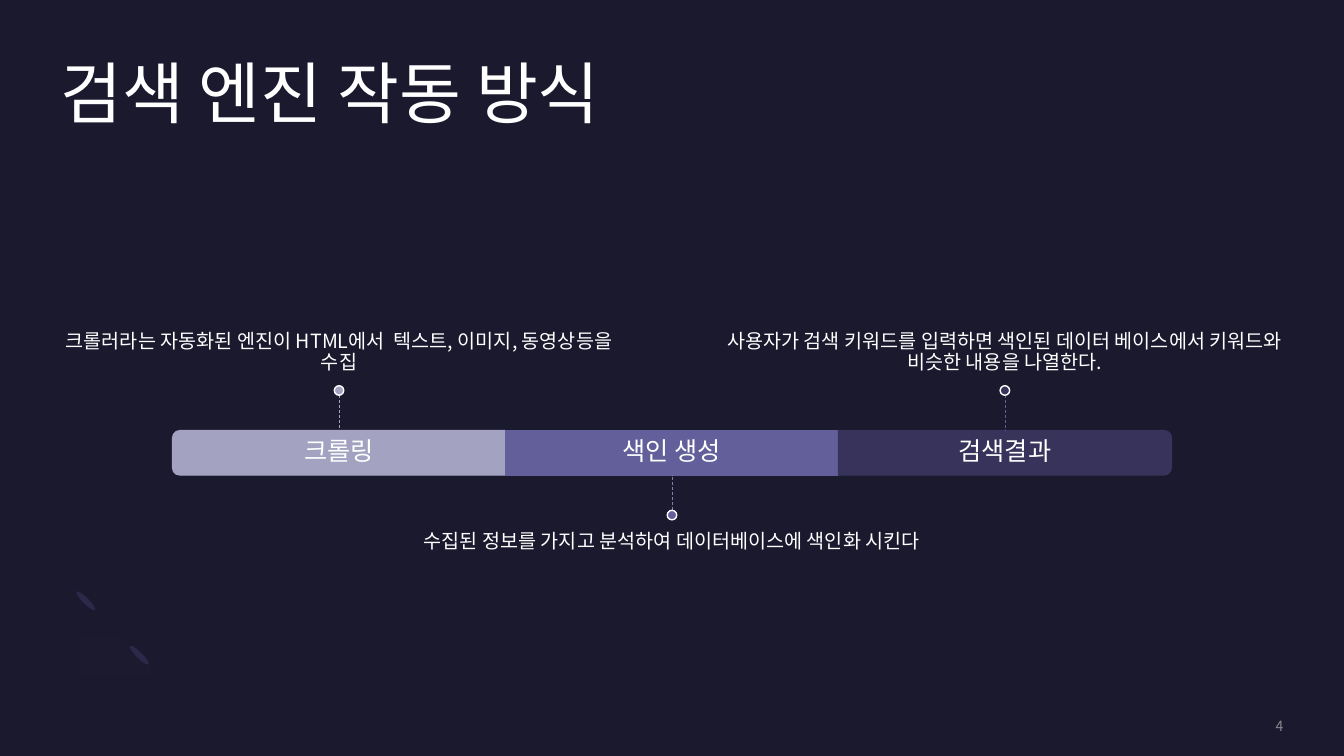
from dataclasses import dataclass

from lxml import etree
from pptx import Presentation
from pptx import util as u
from pptx.dml.color import RGBColor
from pptx.enum import dml, shapes, text
from pptx.oxml.ns import qn

FONT = "Noto Sans CJK KR"
BACKGROUND = "1B192E"
WHITE = "FFFFFF"

# Centimetres
BAR_LEFT, BAR_TOP, BAR_H = 4.35, 10.85, 1.12
STEP_W = 8.39
STEM, DOT = 0.89, 0.24
CAPTION_W, CAPTION_H, CAPTION_GAP = 14.0, 3.86, 0.3


@dataclass
class Step:
    label: str
    caption: str
    fill: str
    stem: str
    above: bool
    rounded: int | None = None  # rotation that turns the rounded end outwards


STEPS = [
    Step("크롤링", "크롤러라는 자동화된 엔진이 HTML에서  텍스트, 이미지, 동영상등을 수집",
         "A3A3C1", "A3A3C1", True, 270),
    Step("색인 생성", "수집된 정보를 가지고 분석하여 데이터베이스에 색인화 시킨다",
         "625F9A", "8281AE", False),
    Step("검색결과", "사용자가 검색 키워드를 입력하면 색인된 데이터 베이스에서 키워드와 비슷한 내용을 나열한다.",
         "37335B", "625F9A", True, 90),
]


def rgb(value: str) -> RGBColor:
    return RGBColor.from_string(value)


def paint(sp, fill: str, line: str | None = None) -> None:
    sp.shadow.inherit = False
    sp.fill.solid()
    sp.fill.fore_color.rgb = rgb(fill)
    if line:
        sp.line.color.rgb = rgb(line)
        sp.line.width = u.Pt(1)
    else:
        sp.line.fill.background()


def add_centred(s, kind, cx: float, cy: float, w: float, h: float,
                fill: str, line: str | None = None, rotation: float = 0):
    sp = s.shapes.add_shape(kind, u.Cm(cx - w / 2), u.Cm(cy - h / 2), u.Cm(w), u.Cm(h))
    sp.rotation = rotation
    paint(sp, fill, line)
    return sp


def add_text(s, content: str, left: float, top: float, w: float, h: float, size: float,
             color: str = WHITE, align=text.PP_ALIGN.CENTER,
             anchor=text.MSO_ANCHOR.MIDDLE, spacing: float = 0.9,
             inset_top: float = 0, inset_bottom: float = 0) -> None:
    tf = s.shapes.add_textbox(u.Cm(left), u.Cm(top), u.Cm(w), u.Cm(h)).text_frame
    tf.word_wrap = True
    tf.vertical_anchor = anchor
    tf.margin_left = tf.margin_right = 0
    tf.margin_top, tf.margin_bottom = u.Cm(inset_top), u.Cm(inset_bottom)
    p = tf.paragraphs[0]
    p.text = content
    p.alignment = align
    p.line_spacing = spacing
    p.font.size = u.Pt(size)
    p.font.name = FONT
    p.font.color.rgb = rgb(color)
    east_asian = etree.SubElement(p._p.pPr.find(qn("a:defRPr")), qn("a:ea"))
    east_asian.set("typeface", FONT)


def add_stem(s, x: float, y1: float, y2: float, color: str) -> None:
    stem = s.shapes.add_connector(shapes.MSO_CONNECTOR.STRAIGHT,
                                  u.Cm(x), u.Cm(y1), u.Cm(x), u.Cm(y2))
    stem.line.color.rgb = rgb(color)
    stem.line.width = u.Pt(0.5)
    stem.line.dash_style = dml.MSO_LINE.DASH
    etree.SubElement(stem._element.spPr, qn("a:effectLst"))


def add_step(s, step: Step, left: float) -> None:
    cx, cy = left + STEP_W / 2, BAR_TOP + BAR_H / 2
    if step.rounded is None:
        add_centred(s, shapes.MSO_SHAPE.RECTANGLE, cx, cy, STEP_W, BAR_H, step.fill, step.fill)
    else:
        add_centred(s, shapes.MSO_SHAPE.ROUND_2_SAME_RECTANGLE, cx, cy, BAR_H, STEP_W,
                    step.fill, step.fill, step.rounded)
    add_text(s, step.label, left, BAR_TOP, STEP_W, BAR_H, 18)

    direction = -1 if step.above else 1
    edge = BAR_TOP if step.above else BAR_TOP + BAR_H
    tip = edge + direction * STEM
    caption_edge = tip + direction * DOT
    add_stem(s, cx, tip, edge, step.stem)
    add_centred(s, shapes.MSO_SHAPE.OVAL, cx, (tip + caption_edge) / 2, DOT, DOT,
                step.fill, WHITE)
    if step.above:
        add_text(s, step.caption, cx - CAPTION_W / 2, caption_edge - CAPTION_H,
                 CAPTION_W, CAPTION_H, 14, anchor=text.MSO_ANCHOR.BOTTOM,
                 inset_bottom=CAPTION_GAP)
    else:
        add_text(s, step.caption, cx - CAPTION_W / 2, caption_edge,
                 CAPTION_W, CAPTION_H, 14, anchor=text.MSO_ANCHOR.TOP,
                 inset_top=CAPTION_GAP)


def bezier(p0, p1, p2, p3, steps: int = 12) -> list[tuple[float, float]]:
    """Points along a cubic curve, without its start."""
    return [tuple((1 - t) ** 3 * a + 3 * (1 - t) ** 2 * t * b
                  + 3 * (1 - t) * t ** 2 * c + t ** 3 * d
                  for a, b, c, d in zip(p0, p1, p2, p3))
            for t in (i / steps for i in range(1, steps + 1))]


def add_half_ring(s) -> None:
    """Faint half ring in the corner, with an ellipse at each cut end."""
    start = (1.93, 16.74)
    points = (bezier(start, (1.42, 16.23), (1.47, 15.37), (2.06, 14.78))
              + [(2.51, 15.24)]
              + bezier((2.51, 15.24), (2.21, 15.52), (2.18, 15.98), (2.44, 16.21))
              + bezier((2.44, 16.21), (2.69, 16.46), (3.12, 16.43), (3.43, 16.15))
              + [(3.86, 16.61)]
              + bezier((3.86, 16.61), (3.3, 17.17), (2.41, 17.25), start))
    builder = s.shapes.build_freeform(*start, scale=u.Cm(1))
    builder.add_line_segments(points, close=True)
    paint(builder.convert_to_shape(), "1C1A2F")
    for cx, cy in ((3.51, 16.51), (2.16, 15.14)):
        add_centred(s, shapes.MSO_SHAPE.OVAL, cx, cy, 0.15, 0.66, "2C284A", rotation=135)


def main() -> None:
    prs = Presentation()
    prs.slide_width, prs.slide_height = u.Cm(33.87), u.Cm(19.05)
    s = prs.slides.add_slide(prs.slide_layouts[6])
    s.background.fill.solid()
    s.background.fill.fore_color.rgb = rgb(BACKGROUND)

    add_half_ring(s)
    add_text(s, "검색 엔진 작동 방식", 1.52, 1.52, 30.81, 3.71, 48,
             align=text.PP_ALIGN.LEFT, anchor=text.MSO_ANCHOR.TOP)
    for i, step in enumerate(STEPS):
        add_step(s, step, BAR_LEFT + i * STEP_W)
    add_text(s, "4", 27.64, 18.08, 4.7, 0.43, 10, "8A898E",
             align=text.PP_ALIGN.RIGHT, spacing=1.0)
    prs.save("out.pptx")


if __name__ == "__main__":
    main()
